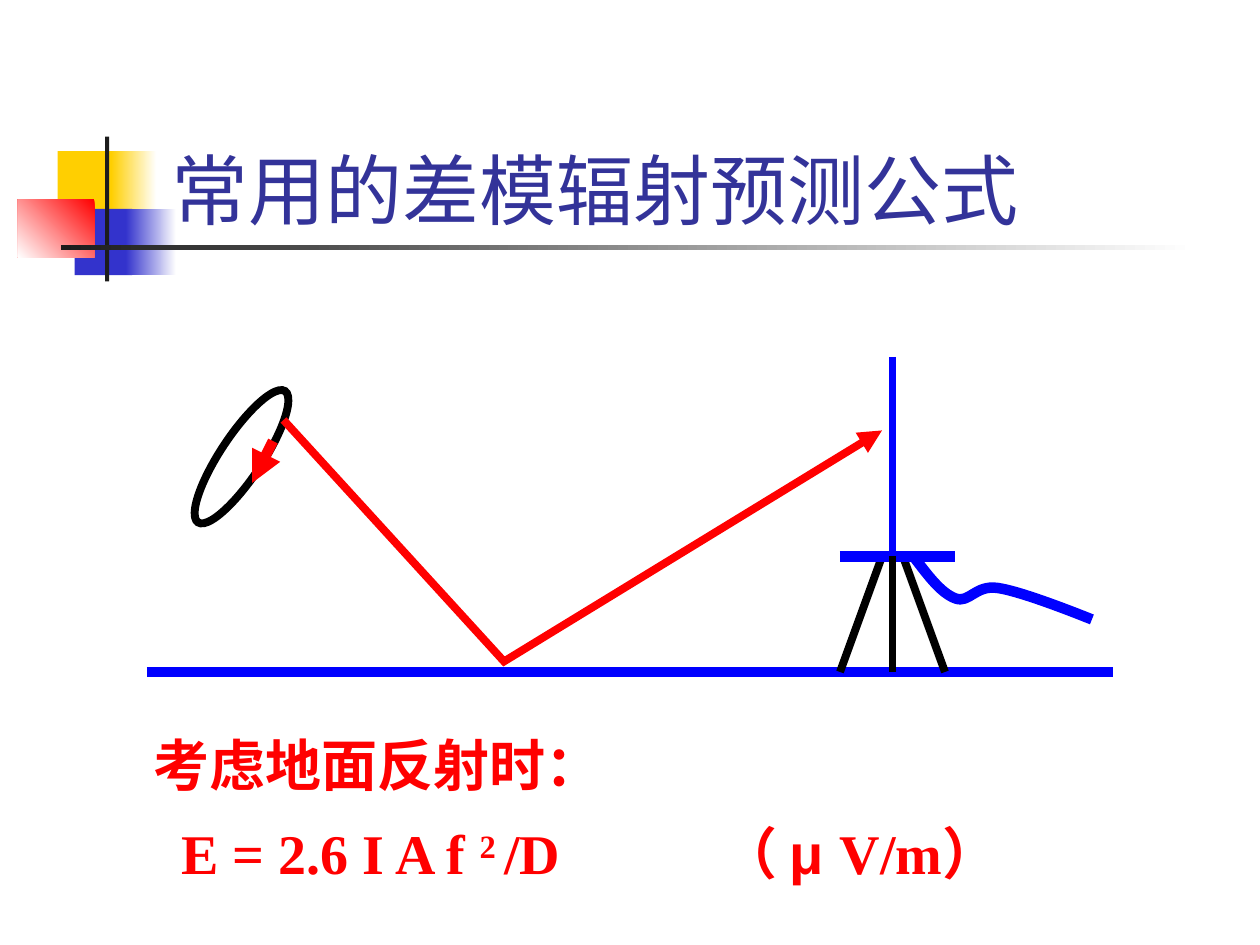
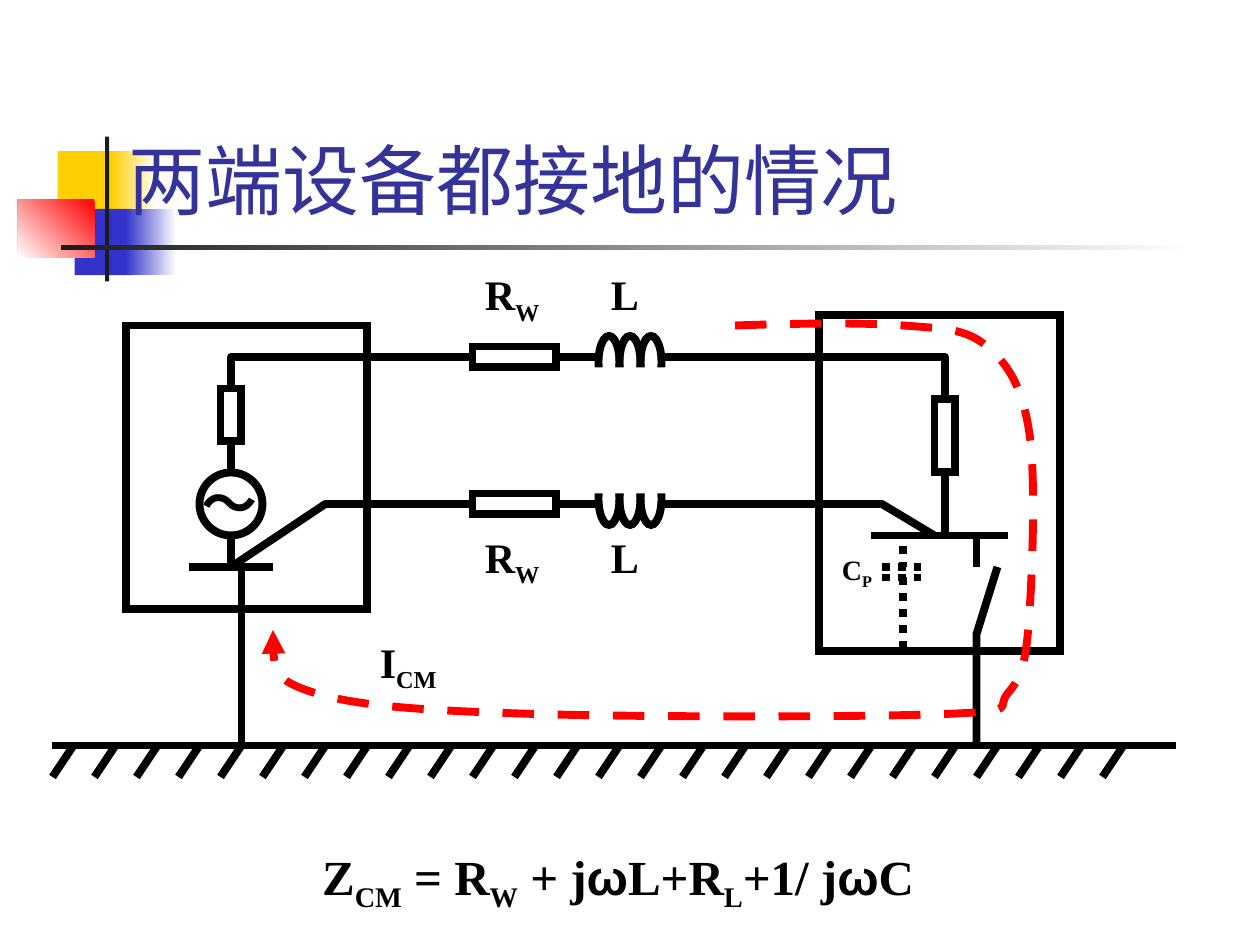
from lxml import etree
from pptx import Presentation
from pptx import util as u
from pptx.dml.color import RGBColor
from pptx.enum import dml, shapes, text
from pptx.oxml.ns import qn

EMU_PER_PX = 7620  # 120 px to the inch
BLACK, WHITE, RED, BLUE = "000000", "FFFFFF", "FF0000", "0000FF"
YELLOW, INDIGO, TITLE, CHARCOAL = "FFCF01", "3333CC", "333399", "1C1C1C"
THIN, THICK = 4.5, 6
RECT, OVAL = shapes.MSO_SHAPE.RECTANGLE, shapes.MSO_SHAPE.OVAL
DOTS, DASHES = dml.MSO_LINE.ROUND_DOT, dml.MSO_LINE.DASH
SUB, SUPER = -25, 30


def px(n):
    return u.Emu(round(n * EMU_PER_PX))


def rgb(color):
    return RGBColor.from_string(color)


def style_line(sp, color, width, dash=None, miter=False, arrow=False):
    sp.line.color.rgb = rgb(color)
    sp.line.width = u.Pt(width)
    if dash:
        sp.line.dash_style = dash
    ln = sp.element.spPr.find(qn("a:ln"))
    if miter:
        etree.SubElement(ln, qn("a:miter"), lim="800000")
    if arrow:
        etree.SubElement(ln, qn("a:tailEnd"), type="triangle")


def shape(s, x, y, w, h, kind=RECT, fill=None, line=None, fade=None):
    """Add a preset shape; fade is the angle of a gradient from fill to white."""
    sp = s.shapes.add_shape(kind, px(x), px(y), px(w), px(h))
    sp.shadow.inherit = False
    if fade is not None:
        sp.fill.gradient()
        sp.fill.gradient_angle = fade
        for stop, color in zip(sp.fill.gradient_stops, (fill, WHITE)):
            stop.color.rgb = rgb(color)
    elif fill:
        sp.fill.solid()
        sp.fill.fore_color.rgb = rgb(fill)
    else:
        sp.fill.background()
    if line:
        style_line(sp, line, THIN, miter=True)
    else:
        sp.line.fill.background()
    return sp


def line(s, x1, y1, x2, y2, color=BLACK, width=THIN, dash=None, arrow=False,
         begin=None, end=None):
    """Add a straight connector; begin and end are (shape, site) to join."""
    cx = s.shapes.add_connector(shapes.MSO_CONNECTOR.STRAIGHT,
                                px(x1), px(y1), px(x2), px(y2))
    if begin:
        cx.begin_connect(*begin)
    if end:
        cx.end_connect(*end)
    style_line(cx, color, width, dash, arrow=arrow)
    etree.SubElement(cx.element.spPr, qn("a:effectLst"))


def polyline(s, points, color=BLACK, width=THIN, **line_style):
    points = [(px(x), px(y)) for x, y in points]
    fb = s.shapes.build_freeform(*points[0])
    fb.add_line_segments(points[1:], close=False)
    sp = fb.convert_to_shape()
    sp.shadow.inherit = False
    sp.fill.background()
    style_line(sp, color, width, **line_style)
    return sp


def curve(s, points, color, width=THIN, **line_style):
    """Add a chain of cubic curves: a start, then two controls and an end each."""
    sp = polyline(s, points, color, width, **line_style)
    segments = list(sp.element.iter(qn("a:lnTo")))
    for i in range(0, len(segments), 3):
        cubic = etree.Element(qn("a:cubicBezTo"))
        segments[i].addprevious(cubic)
        for segment in segments[i:i + 3]:
            cubic.append(segment[0])
            segment.getparent().remove(segment)


def add_runs(p, runs, size, color):
    """Fill a paragraph; a run is a string or a (string, baseline percent) pair."""
    for run in runs:
        words, baseline = (run, 0) if isinstance(run, str) else run
        r = p.add_run()
        r.text = words
        r.font.size = u.Pt(size)
        r.font.bold = True
        r.font.name = "Arial" if words.strip() in ("μ", "ω") else "Times New Roman"
        r.font.color.rgb = rgb(color)
        if baseline:
            r._r.get_or_add_rPr().set("baseline", str(baseline * 1000))


def label(s, x, y, w, h, runs, size=24, color=BLACK, indent=0):
    tb = s.shapes.add_textbox(px(x), px(y), px(w), px(h))
    tf = tb.text_frame
    tf.word_wrap = True
    tf.auto_size = text.MSO_AUTO_SIZE.SHAPE_TO_FIT_TEXT
    p = tf.paragraphs[0]
    if indent:
        p._p.get_or_add_pPr().set("indent", str(px(indent)))
    add_runs(p, runs, size, color)
    return tf


def add_tabs(p, *stops):
    tabs = etree.SubElement(p._p.get_or_add_pPr(), qn("a:tabLst"))
    for stop in stops:
        etree.SubElement(tabs, qn("a:tab"), pos=str(px(stop)), algn="l")


def decorate_layout(s):
    """Draw the corner squares and rules, and move them to the slide's layout."""
    layout = s.slide_layout
    for ph in list(layout.placeholders):
        if ph.placeholder_format.type != shapes.PP_PLACEHOLDER.TITLE:
            ph.element.getparent().remove(ph.element)
    for x, y, w, h, color, fade in (
            (55, 144, 58, 62, YELLOW, None), (106, 144, 43, 62, YELLOW, 0),
            (71, 199, 55, 63, INDIGO, None), (120, 199, 48, 63, INDIGO, 0),
            (17, 190, 73, 55, RED, 225),
            (100, 130, 4, 138, CHARCOAL, None), (58, 233, 1080, 5, CHARCOAL, 0)):
        sp = shape(s, x, y, w, h, fill=color, fade=fade)
        layout.shapes.element.append(sp.element)


def titled_slide(prs, title, x, y, w, h):
    s = prs.slides.add_slide(prs.slide_layouts[5])
    ph = s.shapes.title
    ph.left, ph.top, ph.width, ph.height = px(x), px(y), px(w), px(h)
    tf = ph.text_frame
    tf.text = title
    tf.word_wrap = True
    tf.auto_size = text.MSO_AUTO_SIZE.NONE
    tf.vertical_anchor = text.MSO_ANCHOR.BOTTOM
    p = tf.paragraphs[0]
    p.alignment = text.PP_ALIGN.LEFT
    font = p.runs[0].font
    font.name, font.size, font.color.rgb = "Cabin", u.Pt(44), rgb(TITLE)
    return s


def reflection_slide(prs):
    s = titled_slide(prs, "常用的差模辐射预测公式", 151, 80, 1022, 150)
    decorate_layout(s)

    tf = label(s, 134, 690, 862, 161, ["考虑地面反射时："], 32, RED)
    p = tf.add_paragraph()
    add_tabs(p, 27, 541)
    p.space_before = u.Pt(12)
    add_runs(p, ["\tE = 2.6 I A f ", ("2 ", SUPER), "/D\t（ ", "μ ", "V/m）"], 32, RED)

    line(s, 140, 640, 1060, 640, BLUE, THICK)
    loop = shape(s, 210, 360, 40, 150, OVAL, line=BLACK)
    loop.rotation = 33.5
    line(s, 260, 420, 240, 460, RED, THICK, arrow=True)

    for top, foot in ((840, 800), (860, 900)):
        line(s, top, 530, foot, 640)
    line(s, 800, 530, 910, 530, BLUE, THICK)
    line(s, 850, 340, 850, 530, BLUE)
    cable = [(870, 530), (883, 547), (896, 565), (910, 570), (923, 575),
             (929, 557), (950, 560), (972, 563), (1025, 584), (1040, 590)]
    curve(s, cable, BLUE, THICK)
    line(s, 850, 530, 850, 640)
    polyline(s, [(270, 400), (480, 630), (840, 410)], RED, miter=True, arrow=True)


def wire_impedance(s, y, coil_top, mask_top, label_top):
    """Draw one wire's resistor and coil, with half of the coil masked."""
    resistor = shape(s, 450, y - 10, 80, 20, line=BLACK)
    for x in range(570, 611, 20):
        shape(s, x, coil_top, 20, 50, OVAL, line=BLACK)
    shape(s, 550, mask_top, 110, 30, fill=WHITE)
    line(s, 530, y, 570, y, begin=(resistor, 3))
    label(s, 450, label_top, 100, 67, ["R", ("W", SUB)])
    label(s, 570, label_top, 60, 60, ["L"])


def draw_source(s):
    shape(s, 120, 310, 230, 270, line=BLACK)
    resistor = shape(s, 210, 370, 20, 50, line=BLACK)
    generator = shape(s, 190, 450, 60, 60, OVAL, line=BLACK)
    line(s, 220, 420, 220, 450, begin=(resistor, 2), end=(generator, 0))
    label(s, 180, 440, 90, 77, ["～"], 32)
    line(s, 220, 510, 220, 540)
    line(s, 180, 540, 260, 540)
    line(s, 230, 540, 230, 710)
    polyline(s, [(220, 370), (220, 340), (450, 340)])
    polyline(s, [(220, 540), (310, 480), (450, 480)])


def draw_load(s):
    shape(s, 780, 300, 230, 320, line=BLACK)
    resistor = shape(s, 890, 380, 20, 70, line=BLACK)
    line(s, 900, 450, 900, 510, begin=(resistor, 2))
    line(s, 830, 510, 960, 510)
    polyline(s, [(630, 340), (900, 340), (900, 380)])
    polyline(s, [(630, 480), (840, 480), (890, 510)])
    for x1, y1, x2, y2 in ((860, 520, 860, 540), (840, 540, 880, 540),
                           (840, 550, 880, 550), (860, 550, 860, 620)):
        line(s, x1, y1, x2, y2, dash=DOTS)
    label(s, 790, 520, 70, 49, ["C", ("P", SUB)], 16)
    line(s, 930, 510, 930, 540)
    polyline(s, [(950, 540), (930, 604), (930, 710)])


def draw_ground(s):
    line(s, 50, 710, 1120, 710)
    for x in range(70, 1071, 40):
        line(s, x, 710, x - 20, 740)


def grounding_slide(prs):
    s = titled_slide(prs, "两端设备都接地的情况", 110, 70, 1020, 150)
    draw_ground(s)
    wire_impedance(s, 340, 320, 350, 250)
    wire_impedance(s, 480, 450, 440, 500)
    draw_source(s)
    draw_load(s)

    current = [(700, 310), (760, 308), (820, 307), (860, 310), (900, 313), (920, 313),
               (940, 330), (960, 347), (973, 367), (980, 410), (987, 453), (983, 549),
               (980, 590), (977, 631), (973, 645), (960, 660), (947, 675), (974, 677),
               (900, 680), (825, 683), (610, 683), (510, 680), (410, 677), (342, 673),
               (300, 660), (258, 647), (259, 623), (260, 600)]
    curve(s, current, RED, dash=DASHES, arrow=True)
    label(s, 350, 600, 120, 67, ["I", ("CM", SUB)])
    label(s, 90, 800, 990, 76,
          ["Z", ("CM", SUB), " = R", ("W", SUB), " + j", "ω", "L+R", ("L", SUB),
           "+1/ j", "ω", "C"], 28, indent=205)


def main():
    prs = Presentation()
    prs.slide_width, prs.slide_height = px(1200), px(900)
    reflection_slide(prs)
    grounding_slide(prs)
    prs.save("out.pptx")


if __name__ == "__main__":
    main()
